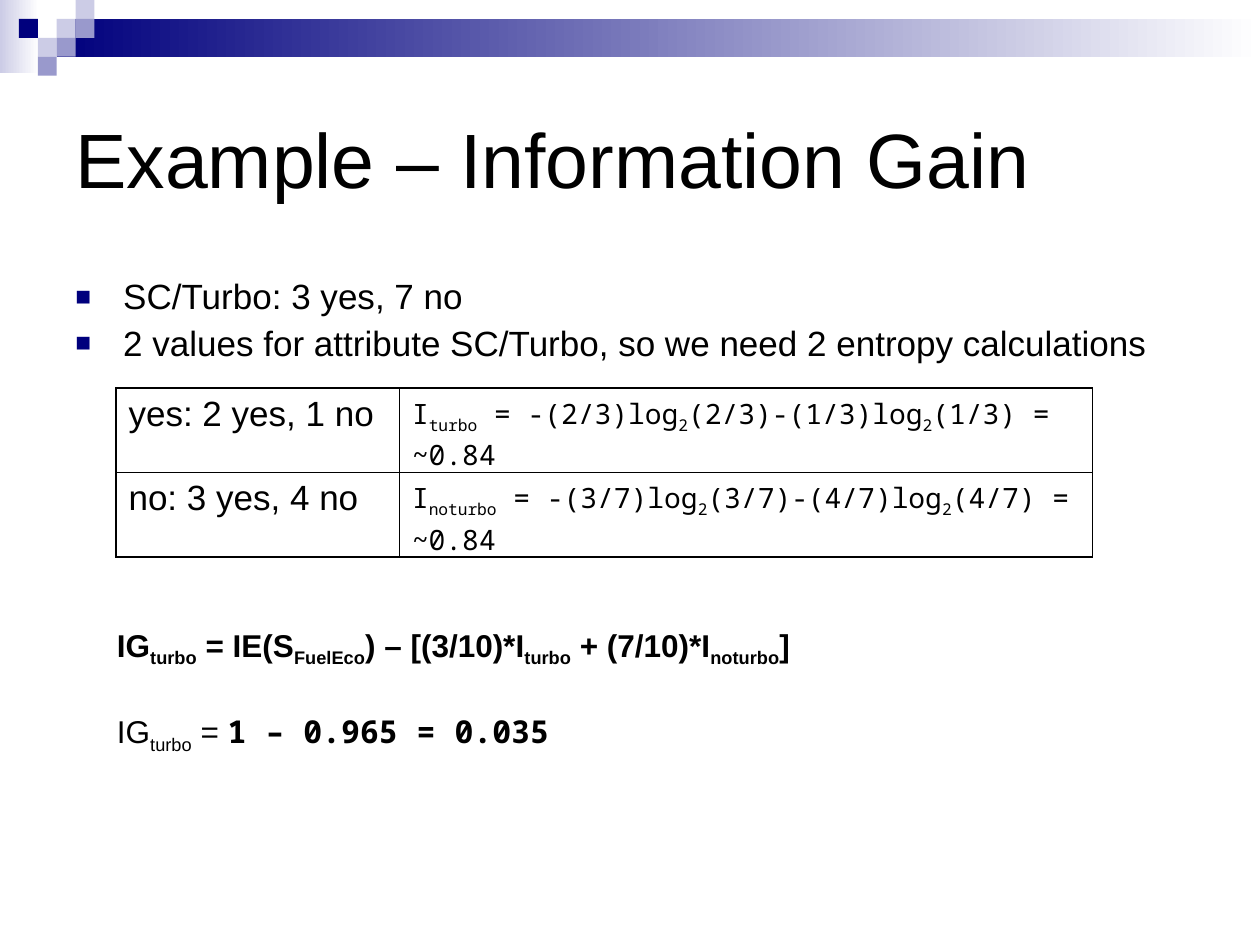
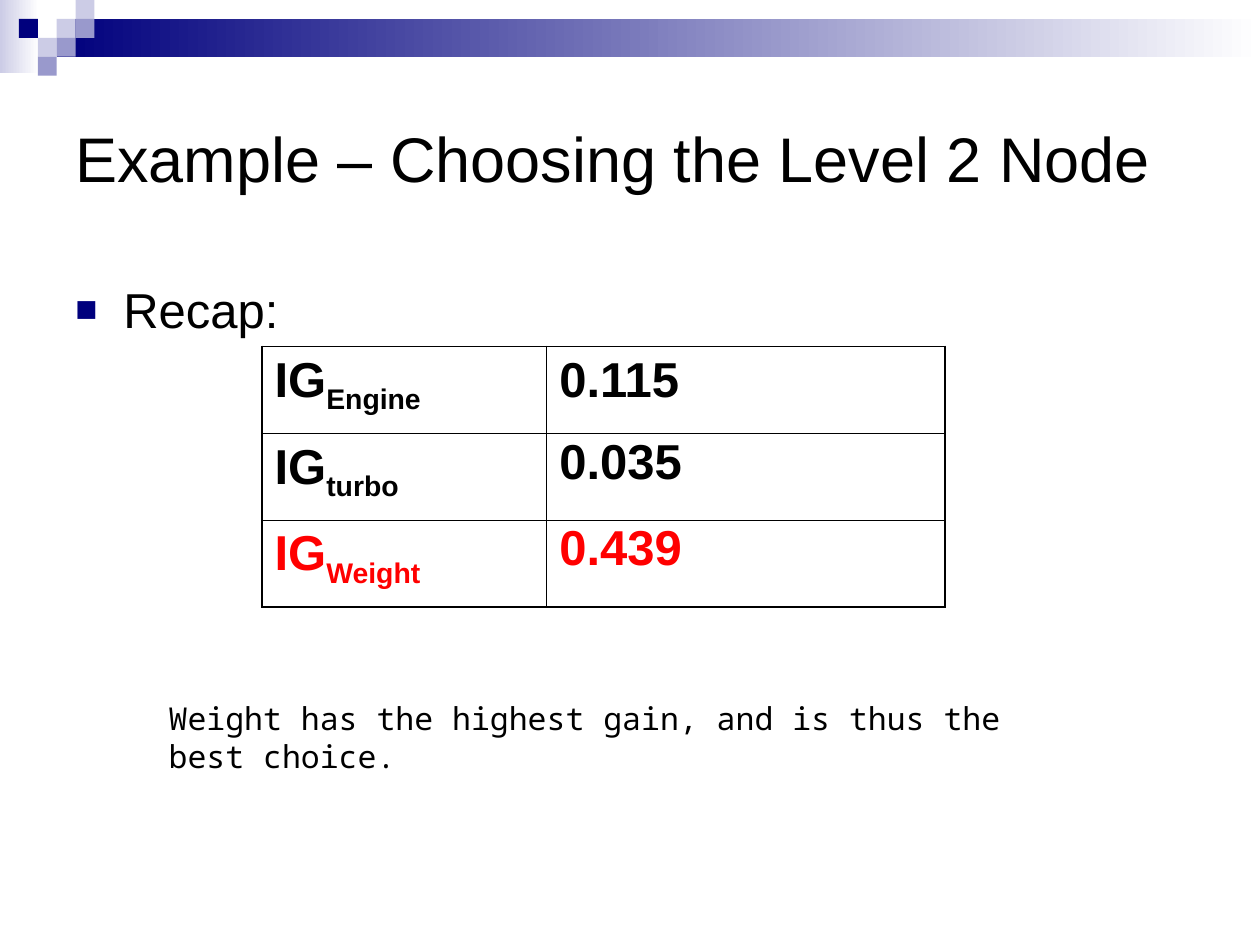
from dataclasses import dataclass

from lxml.etree import SubElement
from pptx import Presentation
from pptx.dml.color import RGBColor
from pptx.enum.shapes import MSO_SHAPE as Shape
from pptx.enum.text import MSO_ANCHOR as Anchor
from pptx.oxml import parse_xml
from pptx.oxml.ns import nsdecls, qn
from pptx.util import Pt

PX = 9144


@dataclass(frozen=True)
class Theme:
    navy: str = "00007D"
    violet: str = "9999CC"
    lilac: str = "CCCCE6"
    white: str = "FFFFFF"
    ink: str = "000000"
    accent: str = "FF0000"
    sans: str = "Arial"
    mono: str = "Noto Sans Mono"
    title: int = 44
    long_title: int = 36
    large: int = 28
    body: int = 20
    note: int = 18
    formula: int = 16
    outer_line: float = 1.08
    inner_line: float = 0.45


@dataclass(frozen=True)
class Style:
    size: int
    font: str = Theme.sans
    color: str = Theme.ink
    bold: bool = False
    before: float = 0
    spacing: float = 1.0


THEME = Theme()
TITLE_BOX = (50, 50, 900, 150)
TILE = 15
TILES = [
    (3, 1, THEME.lilac), (4, 0, THEME.lilac), (4, 1, THEME.violet),
    (2, 2, THEME.lilac), (1, 1, THEME.navy), (3, 2, THEME.violet),
    (2, 3, THEME.violet),
]


def emu(box):
    return [length * PX for length in box]


def write(paragraph, text, style):
    paragraph.space_before = Pt(style.before)
    paragraph.line_spacing = style.spacing
    for index, piece in enumerate(text.split("_")):
        if not piece:
            continue
        run = paragraph.add_run()
        run.text = piece
        font = run.font
        font.size, font.name, font.bold = Pt(style.size), style.font, style.bold
        font.color.rgb = RGBColor.from_string(style.color)
        if index % 2:
            font._element.set("baseline", "-25000")


def add_text(slide, box, lines, anchor=Anchor.TOP):
    frame = slide.shapes.add_textbox(*emu(box)).text_frame
    frame.word_wrap = True
    frame.vertical_anchor = anchor
    for index, (text, style) in enumerate(lines):
        paragraph = frame.add_paragraph() if index else frame.paragraphs[0]
        write(paragraph, text, style)
    return frame


def add_bullets(slide, box, lines):
    for paragraph in add_text(slide, box, lines).paragraphs:
        props = paragraph._p.get_or_add_pPr()
        props.set("marL", str(38 * PX))
        props.set("indent", str(-38 * PX))
        color = SubElement(props, qn("a:buClr"))
        SubElement(color, qn("a:srgbClr"), val=THEME.navy)
        SubElement(props, qn("a:buSzPct"), val="75000")
        SubElement(props, qn("a:buFont"), typeface=THEME.sans)
        SubElement(props, qn("a:buChar"), char="■")


def add_rect(slide, box, *colors):
    rect = slide.shapes.add_shape(Shape.RECTANGLE, *emu(box))
    rect.shadow.inherit = False
    rect.line.fill.background()
    if len(colors) == 1:
        rect.fill.solid()
        rect.fill.fore_color.rgb = RGBColor.from_string(colors[0])
        return
    rect.fill.gradient()
    rect.fill.gradient_angle = 0
    for stop, color in zip(rect.fill.gradient_stops, colors):
        stop.color.rgb = RGBColor.from_string(color)


def add_header(slide, title, size):
    add_rect(slide, (0, 0, 31, 58), THEME.lilac, THEME.white)
    add_rect(slide, (45, 15, 955, 30), THEME.navy, THEME.white)
    for column, row, color in TILES:
        add_rect(slide, (column * TILE, row * TILE, TILE, TILE), color)
    add_text(slide, TITLE_BOX, [(title, Style(size))], Anchor.MIDDLE)


def set_borders(cell, outer_sides):
    props = cell._tc.get_or_add_tcPr()
    for position, side in enumerate("LRTB"):
        points = THEME.outer_line if side in outer_sides else THEME.inner_line
        props.insert(position, parse_xml(
            f'<a:ln{side} {nsdecls("a")} w="{Pt(points)}"><a:solidFill>'
            f'<a:srgbClr val="{THEME.ink}"/></a:solidFill></a:ln{side}>'))


def add_grid(slide, box, widths, rows):
    table = slide.shapes.add_table(len(rows), len(widths), *emu(box)).table
    table.first_row = table.horz_banding = False
    for column, width in zip(table.columns, widths):
        column.width = width * PX
    last_row, last_column = len(rows) - 1, len(widths) - 1
    for r, entries in enumerate(rows):
        table.rows[r].height = box[3] * PX // len(rows)
        for c, (text, style) in enumerate(entries):
            cell = table.cell(r, c)
            cell.margin_left = cell.margin_right = 10 * PX
            cell.margin_top = cell.margin_bottom = 5 * PX
            cell.fill.background()
            edges = {"L": c == 0, "R": c == last_column, "T": r == 0, "B": r == last_row}
            set_borders(cell, [side for side, is_outer in edges.items() if is_outer])
            write(cell.text_frame.paragraphs[0], text, style)


def add_gain_result(slide, box):
    formula = Style(THEME.note, bold=True, before=4.5, spacing=0.9)
    result = Style(THEME.note, before=27.5, spacing=0.9)
    frame = add_text(slide, box, [
        ("IG_turbo_ = IE(S_FuelEco_) – [(3/10)*I_turbo_ + (7/10)*I_noturbo_]", formula),
        ("IG_turbo_ = ", result),
    ])
    write(frame.paragraphs[1], "1 – 0.965 = 0.035",
          Style(THEME.note, THEME.mono, bold=True, before=27.5, spacing=0.9))


def build_information_gain(slide):
    add_header(slide, "Example – Information Gain", THEME.title)
    point = Style(THEME.body, before=5, spacing=0.9)
    add_bullets(slide, (50, 217, 900, 117), [
        ("SC/Turbo: 3 yes, 7 no", point),
        ("2 values for attribute SC/Turbo, so we need 2 entropy calculations", point),
    ])
    count = Style(THEME.body, before=5)
    entropy = Style(THEME.formula, THEME.mono, before=4)
    add_grid(slide, (92, 308, 775, 88), (225, 550), [
        [("yes: 2 yes, 1 no", count),
         ("I_turbo_ = -(2/3)log_2_(2/3)-(1/3)log_2_(1/3) = ~0.84", entropy)],
        [("no: 3 yes, 4 no", count),
         ("I_noturbo_ = -(3/7)log_2_(3/7)-(4/7)log_2_(4/7) = ~0.84", entropy)],
    ])
    add_gain_result(slide, (83, 492, 842, 111))


def build_level_two_choice(slide):
    add_header(slide, "Example – Choosing the Level 2 Node", THEME.long_title)
    add_bullets(slide, (50, 217, 442, 425), [("Recap:", Style(THEME.large, before=7))])
    gains = [
        ("Engine", "0.115", THEME.ink, 1.0),
        ("turbo", "0.035", THEME.ink, 0.9),
        ("Weight", "0.439", THEME.accent, 0.9),
    ]
    add_grid(slide, (208, 275, 542, 207), (226, 316), [
        [(f"IG_{attribute}_", Style(THEME.large, color=color, bold=True, before=7)),
         (gain, Style(THEME.large, color=color, bold=True, before=7, spacing=spacing))]
        for attribute, gain, color, spacing in gains
    ])
    add_text(slide, (124, 550, 680, 70), [
        ("Weight has the highest gain, and is thus the best choice.",
         Style(THEME.note, THEME.mono)),
    ])


def main():
    deck = Presentation()
    deck.slide_width, deck.slide_height = 1000 * PX, 750 * PX
    for build in (build_information_gain, build_level_two_choice):
        build(deck.slides.add_slide(deck.slide_layouts[6]))
    deck.save("out.pptx")


if __name__ == "__main__":
    main()
